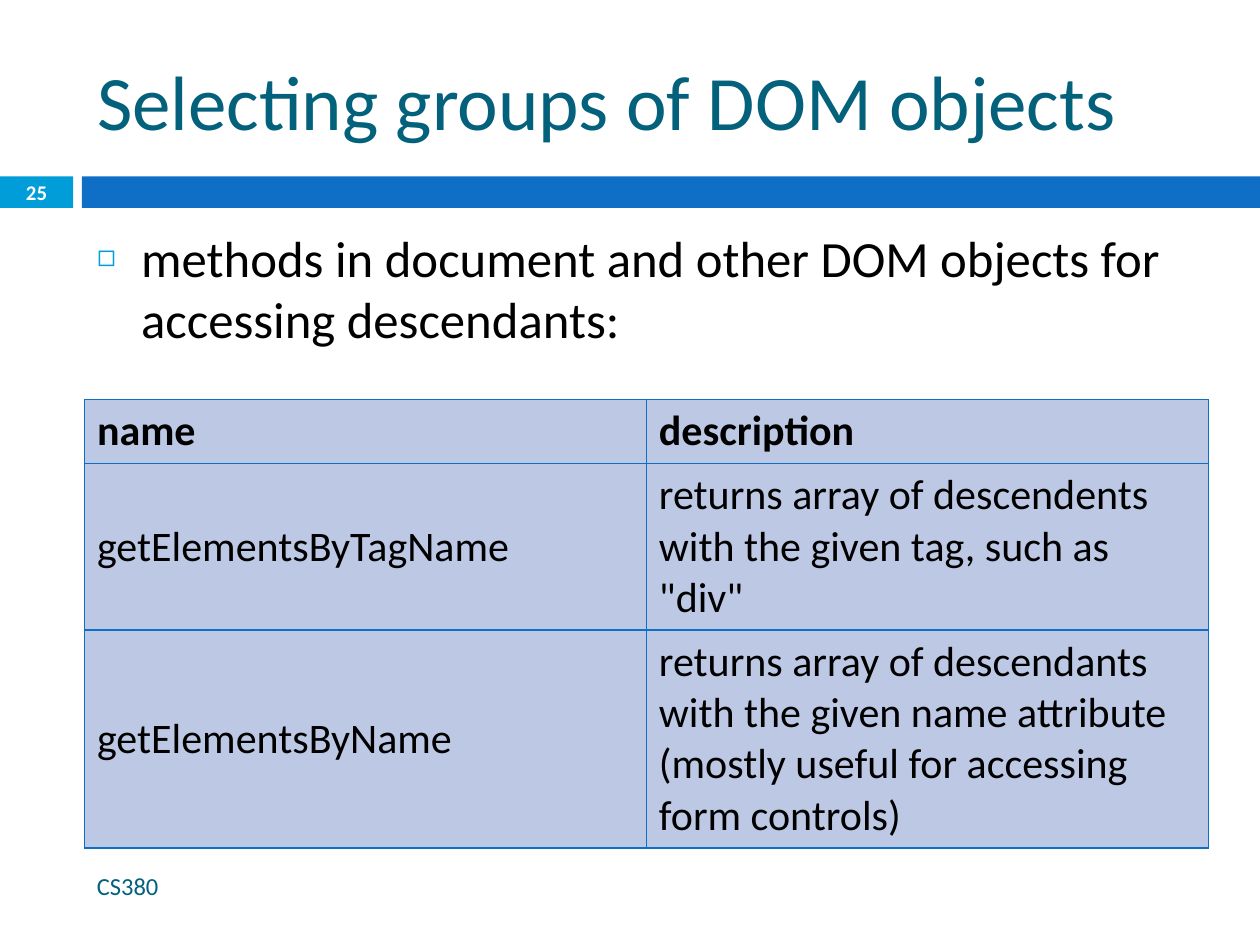
from dataclasses import dataclass

from lxml import etree
from pptx import Presentation
from pptx.dml.color import RGBColor
from pptx.enum.shapes import MSO_SHAPE
from pptx.enum.text import MSO_ANCHOR, MSO_AUTO_SIZE, PP_ALIGN
from pptx.oxml.ns import qn
from pptx.util import Inches, Pt

RECT = MSO_SHAPE.RECTANGLE
MIDDLE, TOP = MSO_ANCHOR.MIDDLE, MSO_ANCHOR.TOP
LEFT, CENTER = PP_ALIGN.LEFT, PP_ALIGN.CENTER
FIXED = MSO_AUTO_SIZE.NONE


@dataclass(frozen=True)
class Theme:
    """Colours, font and type sizes of the deck."""
    font: str = "Calibri"
    ink: str = "000000"
    white: str = "FFFFFF"
    teal: str = "04617B"
    cyan: str = "009DD9"
    blue: str = "0F6FC6"
    cell: str = "BDC8E4"
    title: float = 44
    body: float = 29
    table: float = 24
    foot: float = 14
    page: float = 11.9
    rule: float = 0.79


class Deck:
    """Holds the theme and the current slide, and adds elements to it."""

    def __init__(self, theme):
        self.theme = theme
        self.show = Presentation()
        self.show.slide_width, self.show.slide_height = Inches(10), Inches(7.5)
        self.slide = self.show.slides.add_slide(self.show.slide_layouts[1])

    def text(self, frame, words, size, color, bold=False, align=LEFT):
        """Add one styled run to the first paragraph of a frame."""
        para = frame.paragraphs[0]
        para.alignment = align
        run = para.add_run()
        run.text = words
        font = run.font
        font.name, font.size, font.bold = self.theme.font, Pt(size), bold
        font.color.rgb = RGBColor.from_string(color)
        return para

    def place(self, shape, box, anchor):
        """Move a text shape into its box and return its frame."""
        shape.left, shape.top, shape.width, shape.height = map(Inches, box)
        frame = shape.text_frame
        frame.word_wrap, frame.auto_size = True, FIXED
        frame.vertical_anchor = anchor
        return frame

    def bar(self, box, color):
        """Add a plain filled bar."""
        shape = self.slide.shapes.add_shape(RECT, *map(Inches, box))
        shape.shadow.inherit = False
        shape.fill.solid()
        shape.fill.fore_color.rgb = RGBColor.from_string(color)
        shape.line.fill.background()

    def title(self, words, box):
        """Fill the title placeholder."""
        frame = self.place(self.slide.shapes.title, box, MIDDLE)
        self.text(frame, words, self.theme.title, self.theme.teal)

    def bullet(self, words, box):
        """Fill the body placeholder with one bullet."""
        frame = self.place(self.slide.placeholders[1], box, TOP)
        para = self.text(frame, words, self.theme.body, self.theme.ink)
        para.space_before = Pt(7)
        props = para._p.get_or_add_pPr()
        props.set("marL", str(Inches(0.35)))
        props.set("indent", str(-Inches(0.35)))
        tint = etree.SubElement(props, qn("a:buClr"))
        etree.SubElement(tint, qn("a:srgbClr"), val=self.theme.cyan)
        etree.SubElement(props, qn("a:buSzPct"), val="60000")
        etree.SubElement(props, qn("a:buChar"), char="◻")

    def label(self, words, box, size, color, **style):
        """Add a text box centred on its height."""
        shape = self.slide.shapes.add_textbox(*map(Inches, box))
        self.text(self.place(shape, box, MIDDLE), words, size, color, **style)

    def border(self, cell):
        """Draw all four edges of a cell."""
        props = cell._tc.get_or_add_tcPr()
        for edge in ("a:lnL", "a:lnR", "a:lnT", "a:lnB"):
            line = etree.SubElement(props, qn(edge), w=str(Pt(self.theme.rule)))
            fill = etree.SubElement(line, qn("a:solidFill"))
            etree.SubElement(fill, qn("a:srgbClr"), val=self.theme.blue)

    def table(self, rows, box, heights):
        """Add a ruled table with equal columns and a bold first row."""
        grid = self.slide.shapes.add_table(
            len(rows), len(rows[0]), *map(Inches, box)).table
        for row, height in zip(grid.rows, heights):
            row.height = Inches(height)
        for r, row in enumerate(rows):
            for c, words in enumerate(row):
                cell = grid.cell(r, c)
                self.border(cell)
                cell.fill.solid()
                cell.fill.fore_color.rgb = RGBColor.from_string(self.theme.cell)
                cell.vertical_anchor = MIDDLE
                self.text(cell.text_frame, words, self.theme.table,
                          self.theme.ink, bold=r == 0)


def main():
    """Build the slide and save it."""
    theme = Theme()
    deck = Deck(theme)
    left, width = 0.67, 8.92
    deck.bar((0, 1.4, 0.58, 0.25), theme.cyan)
    deck.bar((0.65, 1.4, 9.35, 0.25), theme.blue)
    deck.title("Selecting groups of DOM objects", (left, 0.25, width, 1.08))
    deck.bullet("methods in document and other DOM objects for "
                "accessing descendants:", (left, 1.75, width, 1.33))
    deck.label("CS380", (left, 6.83, 5.93, 0.4), theme.foot, theme.teal)
    deck.label("25", (0, 1.39, 0.58, 0.27), theme.page, theme.white,
               bold=True, align=CENTER)
    rows = [
        ("name", "description"),
        ("getElementsByTagName",
         'returns array of descendents with the given tag, such as "div"'),
        ("getElementsByName",
         "returns array of descendants with the given name attribute "
         "(mostly useful for accessing form controls)"),
    ]
    heights = (0.51, 1.32, 1.73)
    deck.table(rows, (left, 3.17, width, sum(heights)), heights)
    deck.show.save("out.pptx")


if __name__ == "__main__":
    main()
